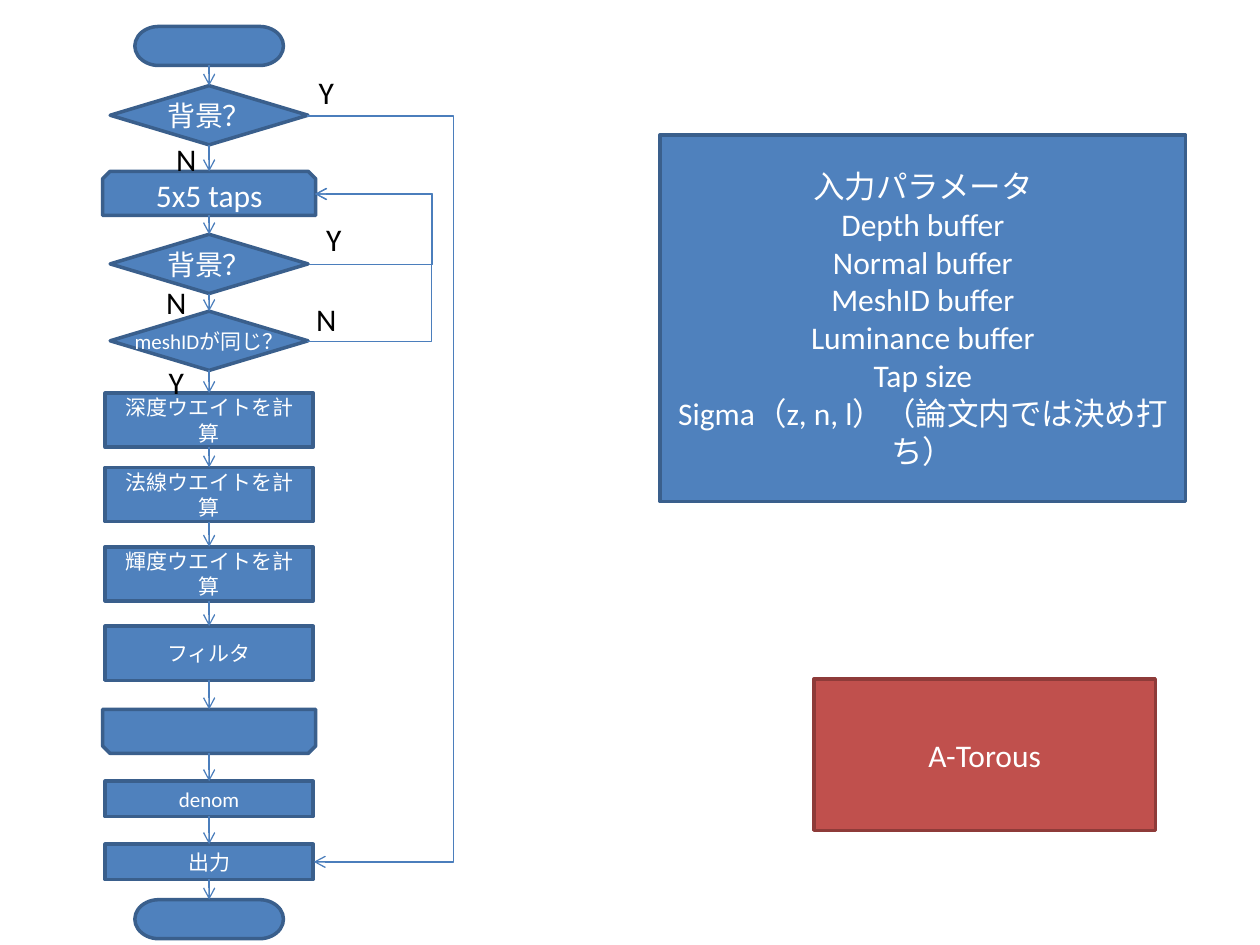
from lxml import etree
from pptx import Presentation
from pptx.dml.color import RGBColor
from pptx.enum.shapes import MSO_CONNECTOR as LINK, MSO_SHAPE as SHAPE
from pptx.enum.text import MSO_ANCHOR as ANCHOR, MSO_AUTO_SIZE as AUTOSIZE, PP_ALIGN as ALIGN
from pptx.oxml.ns import qn
from pptx.util import Inches, Pt


def color(hex_code):
    return RGBColor.from_string(hex_code)


class FlowSlide:
    FONT = "Calibri"
    BLUE, BLUE_EDGE = "4F81BD", "3A5F8C"
    RED, RED_EDGE = "C0504D", "8E3B39"
    ARROW, LIGHT, DARK = "4B7EBC", "FFFFFF", "000000"

    def __init__(self, slide):
        self.shapes = slide.shapes

    def set_text(self, frame, lines, size, ink, align):
        frame.text = "\n".join(lines)
        for paragraph in frame.paragraphs:
            paragraph.alignment = align
            for run in paragraph.runs:
                run.font.name = self.FONT
                run.font.size = Pt(size)
                run.font.color.rgb = color(ink)

    def box(self, kind, left, top, width, height, lines=(), size=18,
            fill=BLUE, edge=BLUE_EDGE, wrap=True, flip=False):
        shape = self.shapes.add_shape(
            kind, Inches(left), Inches(top), Inches(width), Inches(height))
        shape.shadow.inherit = False
        shape.fill.solid()
        shape.fill.fore_color.rgb = color(fill)
        shape.line.color.rgb = color(edge)
        shape.line.width = Pt(2)
        if flip:
            shape.element.spPr.find(qn("a:xfrm")).set("flipV", "1")
        if lines:
            shape.text_frame.word_wrap = wrap
            shape.text_frame.vertical_anchor = ANCHOR.MIDDLE
            self.set_text(shape.text_frame, lines, size, self.LIGHT, ALIGN.CENTER)

    def label(self, text, left, top):
        frame = self.shapes.add_textbox(
            Inches(left), Inches(top), Inches(0.35), Inches(0.4)).text_frame
        frame.word_wrap = True
        frame.auto_size = AUTOSIZE.SHAPE_TO_FIT_TEXT
        self.set_text(frame, [text], 18, self.DARK, ALIGN.LEFT)

    def arrow(self, start, end, bend_x=None):
        kind = LINK.STRAIGHT if bend_x is None else LINK.ELBOW
        link = self.shapes.add_connector(kind, *map(Inches, start + end))
        link.line.color.rgb = color(self.ARROW)
        link.line.width = Pt(0.75)
        properties = link.element.spPr
        etree.SubElement(properties.find(qn("a:ln")), qn("a:tailEnd"), type="arrow")
        etree.SubElement(properties, qn("a:effectLst"))
        if bend_x is not None:
            # The bend is given as a share of the connector's width
            share = round(100000 * (bend_x - start[0]) / (end[0] - start[0]))
            guides = properties.find(qn("a:prstGeom")).find(qn("a:avLst"))
            etree.SubElement(guides, qn("a:gd"), name="adj1", fmla=f"val {share}")


CENTER = 1.66
TERMINATOR = (SHAPE.FLOWCHART_TERMINATOR, 1.18, 0.31)
DECISION = (SHAPE.FLOWCHART_DECISION, 1.57, 0.47)
LOOP = (SHAPE.SNIP_2_SAME_RECTANGLE, 1.69, 0.35)
PROCESS = (SHAPE.RECTANGLE, 1.65, 0.43)
RESULT = (SHAPE.RECTANGLE, 1.65, 0.28)

# Style, top, text, text size
STEPS = [
    (TERMINATOR, 0.21, "", 18),
    (DECISION, 0.68, "背景？", 16),
    (LOOP, 1.36, "5x5 taps", 18),
    (DECISION, 1.86, "背景？", 16),
    (DECISION, 2.47, "meshIDが同じ？", 12),
    (PROCESS, 3.12, "深度ウエイトを計算", 12),
    (PROCESS, 3.71, "法線ウエイトを計算", 12),
    (PROCESS, 4.34, "輝度ウエイトを計算", 12),
    (PROCESS, 4.97, "フィルタ", 12),
    (LOOP, 5.63, "", 18),
    (RESULT, 6.2, "denom", 12),
    (RESULT, 6.7, "出力", 12),
    (TERMINATOR, 7.14, "", 18),
]

# Start and end of each branch, and where it turns
BRANCHES = [
    ((2.44, 0.92), (2.49, 6.84), 3.6),
    ((2.45, 2.1), (2.5, 1.54), 3.43),
    ((2.44, 2.71), (2.5, 1.54), 3.43),
]

ANSWERS = [
    ("Y", 2.43, 0.53), ("N", 1.3, 1.06),
    ("Y", 2.49, 1.7), ("N", 1.22, 2.2),
    ("N", 2.41, 2.33), ("Y", 1.24, 2.83),
]

PARAMETERS = [
    "入力パラメータ", "Depth buffer", "Normal buffer", "MeshID buffer",
    "Luminance buffer", "Tap size", "Sigma（z, n, l）（論文内では決め打ち）",
]


def main():
    deck = Presentation()
    deck.slide_width, deck.slide_height = Inches(10), Inches(7.5)
    flow = FlowSlide(deck.slides.add_slide(deck.slide_layouts[6]))

    # Method name
    flow.box(SHAPE.RECTANGLE, 6.46, 5.39, 2.71, 1.2, ["A-Torous"],
             fill=flow.RED, edge=flow.RED_EDGE)

    # Flowchart steps; the lower loop mark is upside down
    for (kind, width, height), top, text, size in STEPS:
        flow.box(kind, CENTER - width / 2, top, width, height,
                 [text] if text else [], size,
                 wrap=kind != SHAPE.FLOWCHART_DECISION,
                 flip=kind == SHAPE.SNIP_2_SAME_RECTANGLE and not text)

    # Arrows from each step to the next
    for ((_, _, height), top, *_), (_, next_top, *_) in zip(STEPS, STEPS[1:]):
        flow.arrow((CENTER, top + height), (CENTER, next_top))

    # Branches and their answers
    for start, end, bend_x in BRANCHES:
        flow.arrow(start, end, bend_x)
    for answer, left, top in ANSWERS:
        flow.label(answer, left, top)

    # Input parameters
    flow.box(SHAPE.RECTANGLE, 5.24, 1.07, 4.17, 2.91, PARAMETERS)

    deck.save("out.pptx")


if __name__ == "__main__":
    main()
